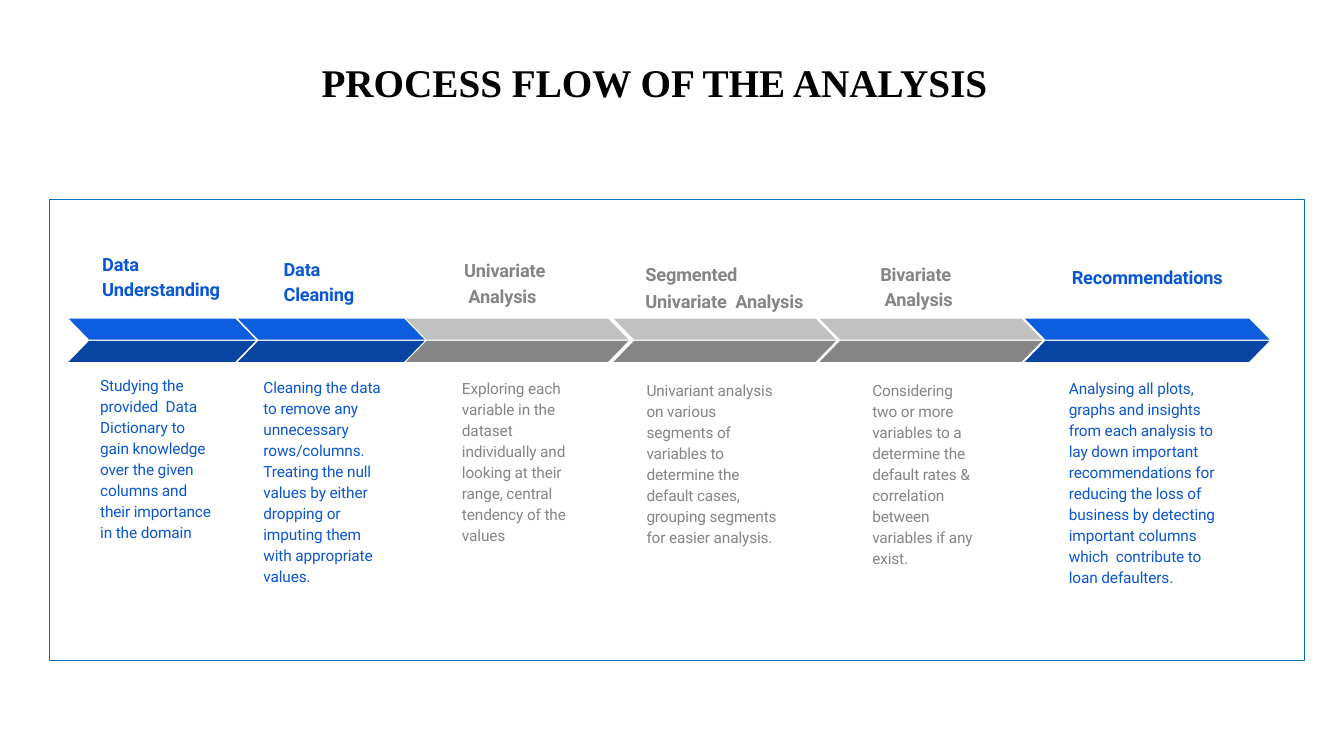
from pptx import Presentation
from pptx.dml.color import RGBColor
from pptx.enum.shapes import MSO_SHAPE as Shape
from pptx.enum.text import MSO_ANCHOR as Anchor, PP_ALIGN as Align
from pptx.util import Pt

COLORS = {
    "black": "000000", "frame": "0070C0", "blue text": "0B57D3",
    "blue top": "0D5DDF", "blue bottom": "0844A1",
    "gray text": "858585", "gray top": "C1C1C1", "gray bottom": "858585",
}


def color(name):
    return RGBColor.from_string(COLORS[name])


def add_text(left, top, width, height, text, size, tone, bold, spacing):
    box = page.shapes.add_textbox(Pt(left), Pt(top), Pt(width), Pt(height))
    frame = box.text_frame
    frame.word_wrap = True
    frame.margin_left = frame.margin_top = Pt(1)
    frame.margin_right = frame.margin_bottom = 0
    frame.text = text
    for para in frame.paragraphs:
        para.line_spacing = spacing
        para.space_before = Pt(1)
        para.font.name = "Roboto"
        para.font.size = Pt(size)
        para.font.bold = bold
        para.font.color.rgb = color(tone + " text")
        for span in para.runs:
            span.font._element.set("spc", "-10")  # slightly tightened letters


deck = Presentation()
deck.slide_width, deck.slide_height = Pt(960), Pt(540)
page = deck.slides.add_slide(deck.slide_layouts[5])

# Title
title = page.shapes.title
title.left, title.top, title.width, title.height = Pt(222.5), Pt(27), Pt(518), Pt(67.7)
title.text_frame.text = "PROCESS FLOW OF THE ANALYSIS"
title.text_frame.vertical_anchor = Anchor.MIDDLE
para = title.text_frame.paragraphs[0]
para.alignment = Align.LEFT
para.line_spacing = 0.9
para.font.name = "Times New Roman"
para.font.size = Pt(28)
para.font.bold = True
para.font.color.rgb = color("black")

# Frame around the process
border = page.shapes.add_shape(Shape.RECTANGLE, Pt(35.5), Pt(142.7), Pt(896.5), Pt(329))
border.shadow.inherit = False
border.fill.background()
border.line.color.rgb = color("frame")
border.line.width = Pt(1)

# Steps: tone, arrow (left, width), heading and description (left, top, width, text)
STEPS = [
    ("blue", (49, 133.6), (72, 177.8, 87.8, "Data  Understanding"),
     (70.6, 265.7, 83.5, "Studying the provided  Data Dictionary to gain knowledge over "
      "the given  columns and  their importance in the domain")),
    ("blue", (169.9, 133.4), (201.6, 181.4, 53.3, "Data  Cleaning"),
     (187.2, 267.1, 88.6, "Cleaning the data to remove any unnecessary rows/columns. "
      "Treating the null values by either dropping or imputing them with "
      "appropriate values.")),
    ("gray", (290, 158.9), (330.5, 182.2, 61.2, "Univariate  Analysis"),
     (329, 267.8, 75.6, "Exploring each variable in the dataset individually and looking "
      "at their range, central tendency of the values")),
    ("gray", (438.3, 158.9), (460.1, 185, 117.4, "Segmented\nUnivariate  Analysis"),
     (460.8, 269.3, 95, "Univariant analysis on various segments of variables to "
      "determine the default cases, grouping segments for easier analysis.")),
    ("gray", (585.4, 158.9), (627.8, 185, 54, "Bivariate  Analysis"),
     (622.1, 269.3, 74.9, "Considering two or more variables to a determine the default "
      "rates & correlation between variables if any exist.")),
    ("blue", (732, 174.8), (764.6, 189.4, 111.6, "Recommendations"),
     (762.5, 267.8, 114.5, "Analysing all plots, graphs and insights from each analysis "
      "to lay down important recommendations for  reducing the loss of  business by "
      "detecting  important columns which  contribute to loan defaulters.")),
]
NOTCH = 14.6
# Each arrow half: name, top, height, shift of its upper edge, shift of its lower edge
HALVES = [("top", 227.5, 15, 0, NOTCH), ("bottom", 243.5, 15, NOTCH, 0)]

for tone, (left, width), heading, description in STEPS:
    for half, top, height, upper, lower in HALVES:
        body = width - NOTCH
        corners = [(left + upper, top), (left + upper + body, top),
                   (left + lower + body, top + height), (left + lower, top + height)]
        points = [(Pt(x), Pt(y)) for x, y in corners]
        builder = page.shapes.build_freeform(*points[0])
        builder.add_line_segments(points[1:], close=True)
        arrow = builder.convert_to_shape()
        arrow.shadow.inherit = False
        arrow.fill.solid()
        arrow.fill.fore_color.rgb = color(f"{tone} {half}")
        arrow.line.fill.background()

    left, top, width, text = heading
    single = text == "Recommendations"
    add_text(left, top, width, 17 if single else 38, text, 13, tone, True,
             1.0 if single else 1.15)
    left, top, width, text = description
    add_text(left, top, width, 137, text, 11, tone, False, 1.14)

deck.save("out.pptx")
